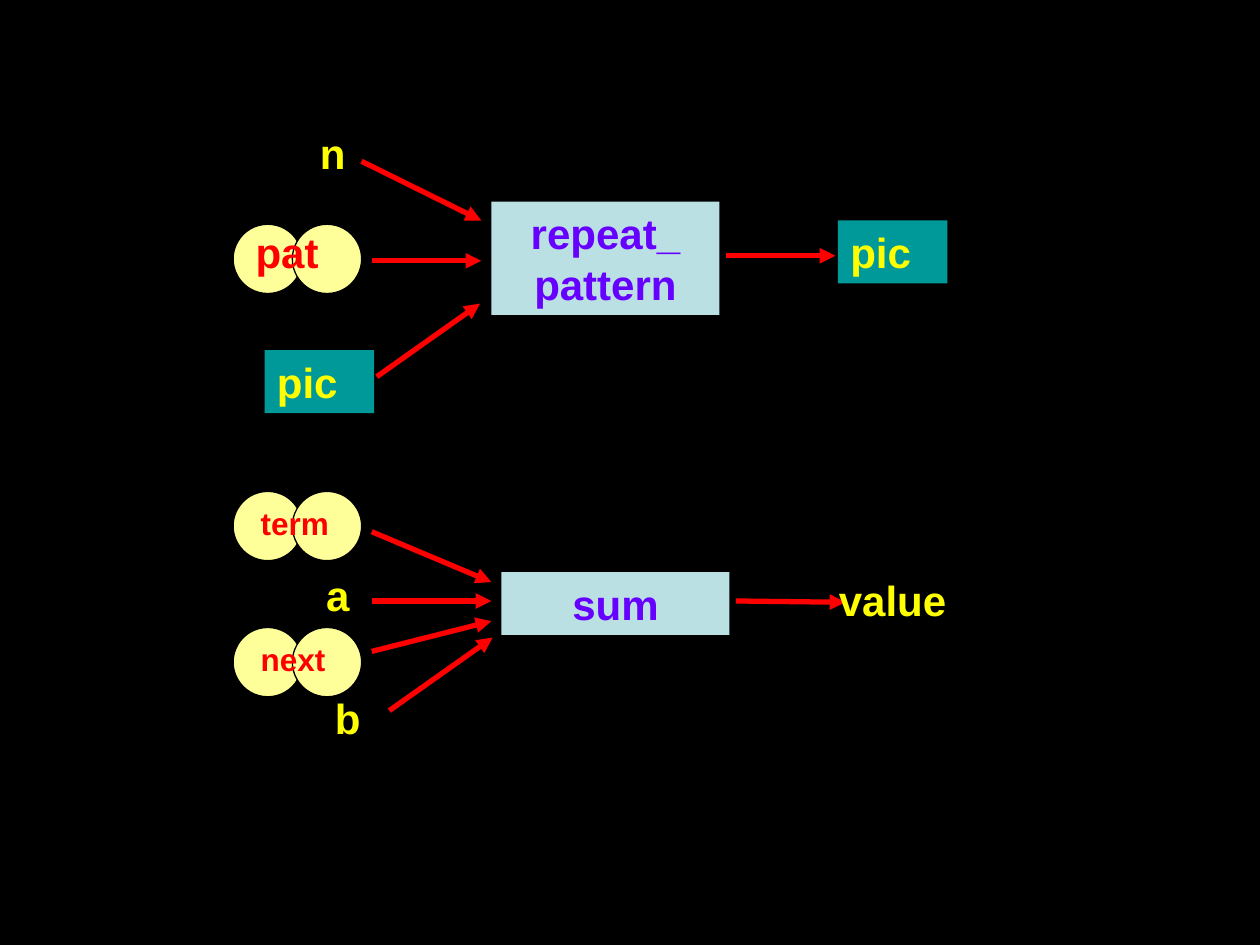
from pptx import Presentation
from pptx import util as u
from pptx.dml.color import RGBColor
from pptx.enum import shapes, text
from pptx.oxml.ns import qn
from lxml import etree

BLACK = RGBColor(0x00, 0x00, 0x00)
RED = RGBColor(0xFF, 0x00, 0x00)
YELLOW = RGBColor(0xFF, 0xFF, 0x00)
CREAM = RGBColor(0xFF, 0xFF, 0x99)
TEAL = RGBColor(0x00, 0x99, 0x99)
PALE_BLUE = RGBColor(0xBB, 0xE0, 0xE3)
VIOLET = RGBColor(0x66, 0x00, 0xFF)

# Shared columns and sizes, in inches
FUNCTION_WIDTH, PICTURE_WIDTH = 1.81, 0.87
ROW_HEIGHT = 0.5
CIRCLE_LEFT, CIRCLE_STEP, CIRCLE_SIZE = 1.85, 0.47, 0.55
INPUT_X, SUM_X = 2.95, 3.9

# Content: function boxes (lines, left, top, height)
functions = [
    (["repeat_", "pattern"], 3.9, 1.6, 0.9),
    (["sum"], 3.98, 4.54, ROW_HEIGHT),
]
# Picture boxes (left, top)
pictures = [(2.1, 2.78), (6.65, 1.75)]
# Function arguments drawn as circle pairs
# (name, circle top, text left, text top, text height, size)
pairs = [
    ("pat", 1.78, 1.93, 1.75, ROW_HEIGHT, 24),
    ("term", 3.9, 1.97, 3.95, 0.4, 18),
    ("next", 4.98, 1.97, 5.03, 0.4, 18),
]
# Plain values (name, left, top, width)
values = [
    ("n", 2.44, 0.96, 0.47),
    ("a", 2.49, 4.47, 0.47),
    ("b", 2.56, 5.45, 0.47),
    ("value", 6.56, 4.51, 1.26),
]
# Arrows (start, end)
arrows = [
    ((2.87, 1.28), (3.82, 1.75)),
    ((INPUT_X, 2.07), (3.82, 2.07)),
    ((2.99, 2.99), (3.81, 2.41)),
    ((5.76, 2.03), (6.63, 2.03)),
    ((INPUT_X, 4.22), (SUM_X, 4.62)),
    ((INPUT_X, 4.77), (SUM_X, 4.77)),
    ((INPUT_X, 5.17), (SUM_X, 4.93)),
    ((3.09, 5.64), (3.91, 5.06)),
    ((5.84, 4.77), (6.71, 4.78)),
]

deck = Presentation()
deck.slide_width, deck.slide_height = u.Inches(10), u.Inches(7.5)
page = deck.slides.add_slide(deck.slide_layouts[6])
page.background.fill.solid()
page.background.fill.fore_color.rgb = BLACK


def inches(*lengths):
    return [u.Inches(length) for length in lengths]


def write(box, lines, color, size=24, align=text.PP_ALIGN.LEFT):
    frame = box.text_frame
    frame.word_wrap = True
    frame.vertical_anchor = text.MSO_ANCHOR.TOP
    para = frame.paragraphs[0]
    para.alignment = align
    for number, line in enumerate(lines):
        if number:
            para.add_line_break()
        span = para.add_run()
        span.text = line
        span.font.name = "Arial"
        span.font.size = u.Pt(size)
        span.font.bold = True
        span.font.color.rgb = color


def add_filled(kind, place, fill, outline=None):
    shape = page.shapes.add_shape(kind, *inches(*place))
    shape.shadow.inherit = False
    shape.fill.solid()
    shape.fill.fore_color.rgb = fill
    if outline is None:
        shape.line.fill.background()
    else:
        shape.line.color.rgb = outline
        shape.line.width = u.Pt(0.75)
    return shape


def add_label(name, place, color, size=24):
    write(page.shapes.add_textbox(*inches(*place)), [name], color, size)


def add_arrow(start, end):
    arrow = page.shapes.add_connector(
        shapes.MSO_CONNECTOR.STRAIGHT, *inches(*start, *end))
    arrow.line.color.rgb = RED
    arrow.line.width = u.Pt(3)
    etree.SubElement(arrow.line._get_or_add_ln(), qn("a:tailEnd"), type="triangle")
    etree.SubElement(arrow._element.spPr, qn("a:effectLst"))


# Arrows lie beneath the labels
for start, end in arrows:
    add_arrow(start, end)

# Function boxes
for lines, left, top, height in functions:
    box = add_filled(shapes.MSO_SHAPE.RECTANGLE,
                     (left, top, FUNCTION_WIDTH, height), PALE_BLUE)
    write(box, lines, VIOLET, align=text.PP_ALIGN.CENTER)

# Picture values
for left, top in pictures:
    box = add_filled(shapes.MSO_SHAPE.RECTANGLE,
                     (left, top, PICTURE_WIDTH, ROW_HEIGHT), TEAL)
    write(box, ["pic"], YELLOW)

# Overlapping circles with a name across them
for name, circle_top, left, top, height, size in pairs:
    for column in range(2):
        add_filled(shapes.MSO_SHAPE.OVAL,
                   (CIRCLE_LEFT + column * CIRCLE_STEP, circle_top,
                    CIRCLE_SIZE, CIRCLE_SIZE), CREAM, BLACK)
    add_label(name, (left, top, 0.79, height), RED, size)

# Plain values
for name, left, top, width in values:
    add_label(name, (left, top, width, ROW_HEIGHT), YELLOW)

deck.save("out.pptx")
